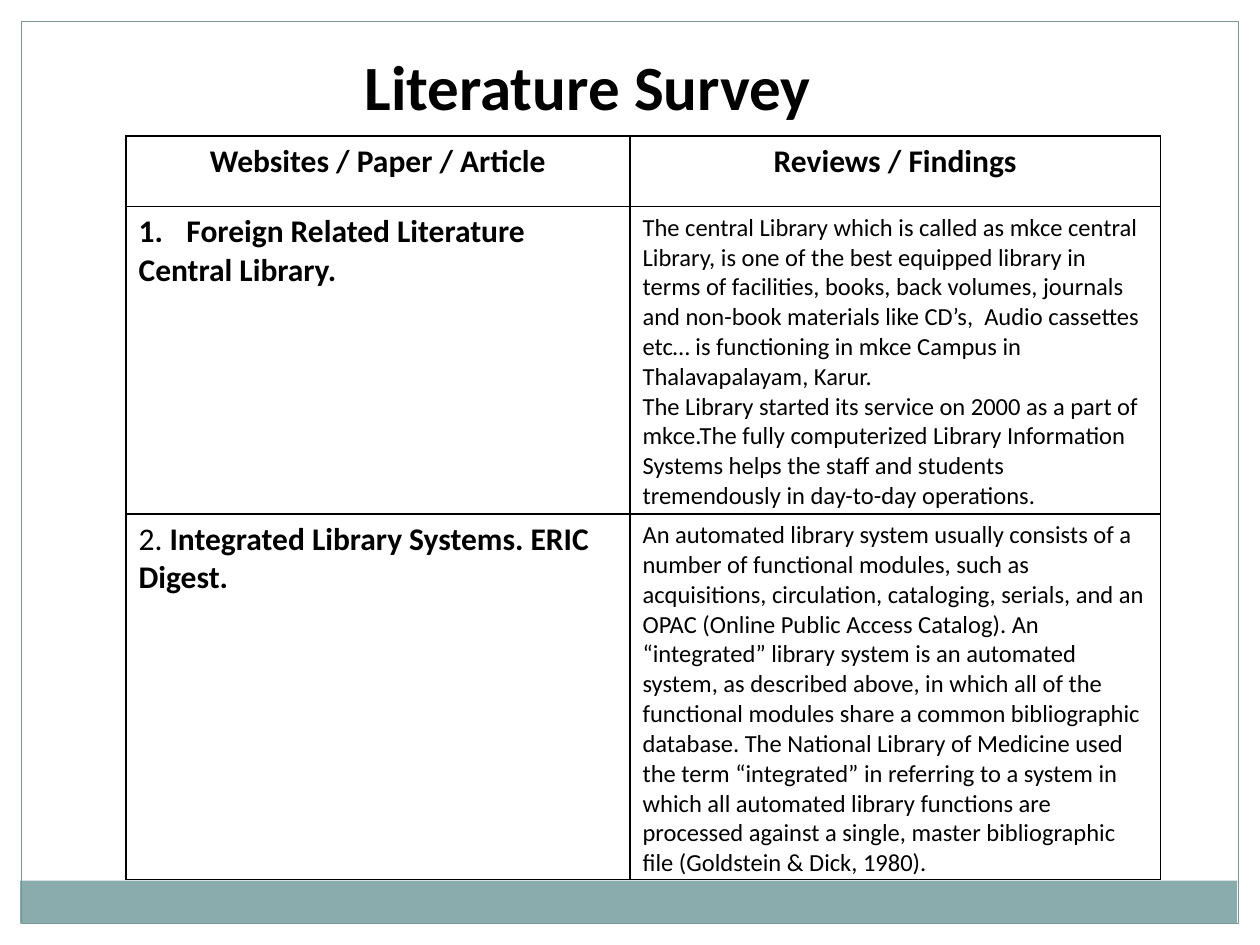
from lxml import etree
from pptx import Presentation
from pptx.dml.color import RGBColor
from pptx.enum.shapes import MSO_SHAPE
from pptx.enum.text import MSO_ANCHOR, MSO_AUTO_SIZE, PP_ALIGN
from pptx.oxml.ns import qn
from pptx.util import Inches, Pt

RECTANGLE = MSO_SHAPE.RECTANGLE
LEFT, CENTER = PP_ALIGN.LEFT, PP_ALIGN.CENTER
TOP = MSO_ANCHOR.TOP
GROW = MSO_AUTO_SIZE.SHAPE_TO_FIT_TEXT
TITLE_ONLY = 5

COLORS = {"text": "000000", "border": "000000", "band": "8BACAD", "frame": "7A9798"}
FONT = "Calibri"
HEADING, BODY = 18, 14
UNIT = Inches(0.1)  # the slide is a grid of 100 columns by 75 rows

CENTRAL_LIBRARY = [
    "The central Library which is called as mkce central Library, is one of the best "
    "equipped library in terms of facilities, books, back volumes, journals and non-book "
    "materials like CD’s,  Audio cassettes etc… is functioning in mkce Campus in "
    "Thalavapalayam, Karur.",
    "The Library started its service on 2000 as a part of mkce.The fully computerized "
    "Library Information Systems helps the staff and students tremendously in day-to-day "
    "operations.",
]
INTEGRATED_SYSTEMS = (
    "An automated library system usually consists of a number of functional modules, such "
    "as acquisitions, circulation, cataloging, serials, and an OPAC (Online Public Access "
    "Catalog). An “integrated” library system is an automated system, as described above, "
    "in which all of the functional modules share a common bibliographic database. The "
    "National Library of Medicine used the term “integrated” in referring to a system in "
    "which all automated library functions are processed against a single, master "
    "bibliographic file (Goldstein & Dick, 1980)."
)


def color(name):
    return RGBColor.from_string(COLORS[name])


def grid(*lengths):
    return [round(length * UNIT) for length in lengths]


def write(paragraph, text, size=BODY, bold=False, align=LEFT, numbered=False):
    """Add one run of text to a paragraph."""
    if numbered:
        properties = paragraph._p.get_or_add_pPr()
        properties.set("marL", str(Inches(0.38)))
        properties.set("indent", str(-Inches(0.38)))
        etree.SubElement(properties, qn("a:buFont"), typeface="+mj-lt")
        etree.SubElement(properties, qn("a:buAutoNum"), type="arabicPeriod")
    paragraph.alignment = align
    run = paragraph.add_run()
    run.text = text
    run.font.name, run.font.size, run.font.bold = FONT, Pt(size), bold
    run.font.color.rgb = color("text")


class SurveySlide:
    def __init__(self, presentation):
        self.slide = presentation.slides.add_slide(presentation.slide_layouts[TITLE_ONLY])

    def rectangle(self, box, fill=None, line=None):
        shape = self.slide.shapes.add_shape(RECTANGLE, *grid(*box))
        shape.shadow.inherit = False
        if fill:
            shape.fill.solid()
            shape.fill.fore_color.rgb = color(fill)
        else:
            shape.fill.background()
        if line:
            shape.line.color.rgb = color(line)
            shape.line.width = Pt(0.75)
        else:
            shape.line.fill.background()

    def title(self, text, box):
        shape = self.slide.shapes.title
        shape.left, shape.top, shape.width, shape.height = grid(*box)
        frame = shape.text_frame
        frame.word_wrap, frame.auto_size = True, GROW
        frame.vertical_anchor = TOP
        write(frame.paragraphs[0], text, size=36, bold=True, align=CENTER)

    def table(self, left, top, widths, heights, rows):
        """Each cell is a list of paragraphs, each a list of (text, format) runs."""
        box = grid(left, top, sum(widths), sum(heights))
        table = self.slide.shapes.add_table(len(rows), len(widths), *box).table
        table.first_row = table.horz_banding = False
        for column, width in zip(table.columns, grid(*widths)):
            column.width = width
        for row, height, contents in zip(table.rows, grid(*heights), rows):
            row.height = height
            for cell, paragraphs in zip(row.cells, contents):
                self.cell(cell, paragraphs)
        return table

    def cell(self, cell, paragraphs):
        self.borders(cell)
        cell.fill.background()
        frame = cell.text_frame
        for index, runs in enumerate(paragraphs):
            paragraph = frame.add_paragraph() if index else frame.paragraphs[0]
            for text, style in runs:
                write(paragraph, text, **style)

    def borders(self, cell):
        properties = cell._tc.get_or_add_tcPr()
        for side in ("lnL", "lnR", "lnT", "lnB"):
            line = etree.SubElement(properties, qn(f"a:{side}"), w=str(Pt(1)))
            fill = etree.SubElement(line, qn("a:solidFill"))
            etree.SubElement(fill, qn("a:srgbClr"), val=COLORS["border"])


def main():
    presentation = Presentation()
    presentation.slide_width, presentation.slide_height = grid(100, 75)
    survey = SurveySlide(presentation)

    # Page frame and bottom band
    survey.rectangle((1.6, 69.9, 96.6, 3.4), fill="band")
    survey.rectangle((1.7, 1.7, 96.6, 71.6), line="frame")

    survey.title("Literature Survey", (25.8, 3.3, 41.7, 7.1))

    # Survey entries, in two stacked tables with the same columns
    widths = (40, 42.1)
    plain = {"size": HEADING}
    bold = {"size": HEADING, "bold": True}
    header = {**bold, "align": CENTER}
    survey.table(10, 10.8, widths, (5.6, 24.4), [
        [[[("Websites / Paper / Article", header)]], [[("Reviews / Findings", header)]]],
        [[[("Foreign Related Literature", {**bold, "numbered": True})],
          [("Central Library.", bold)]],
         [[(text, {})] for text in CENTRAL_LIBRARY]],
    ])
    integrated = survey.table(10, 40.8, widths, (29,), [
        [[[("2.", plain), (" Integrated Library Systems. ERIC Digest.", bold)]],
         [[(INTEGRATED_SYSTEMS, {})]]],
    ])
    integrated.cell(0, 1).margin_bottom = Inches(0.01)

    presentation.save("out.pptx")


if __name__ == "__main__":
    main()
